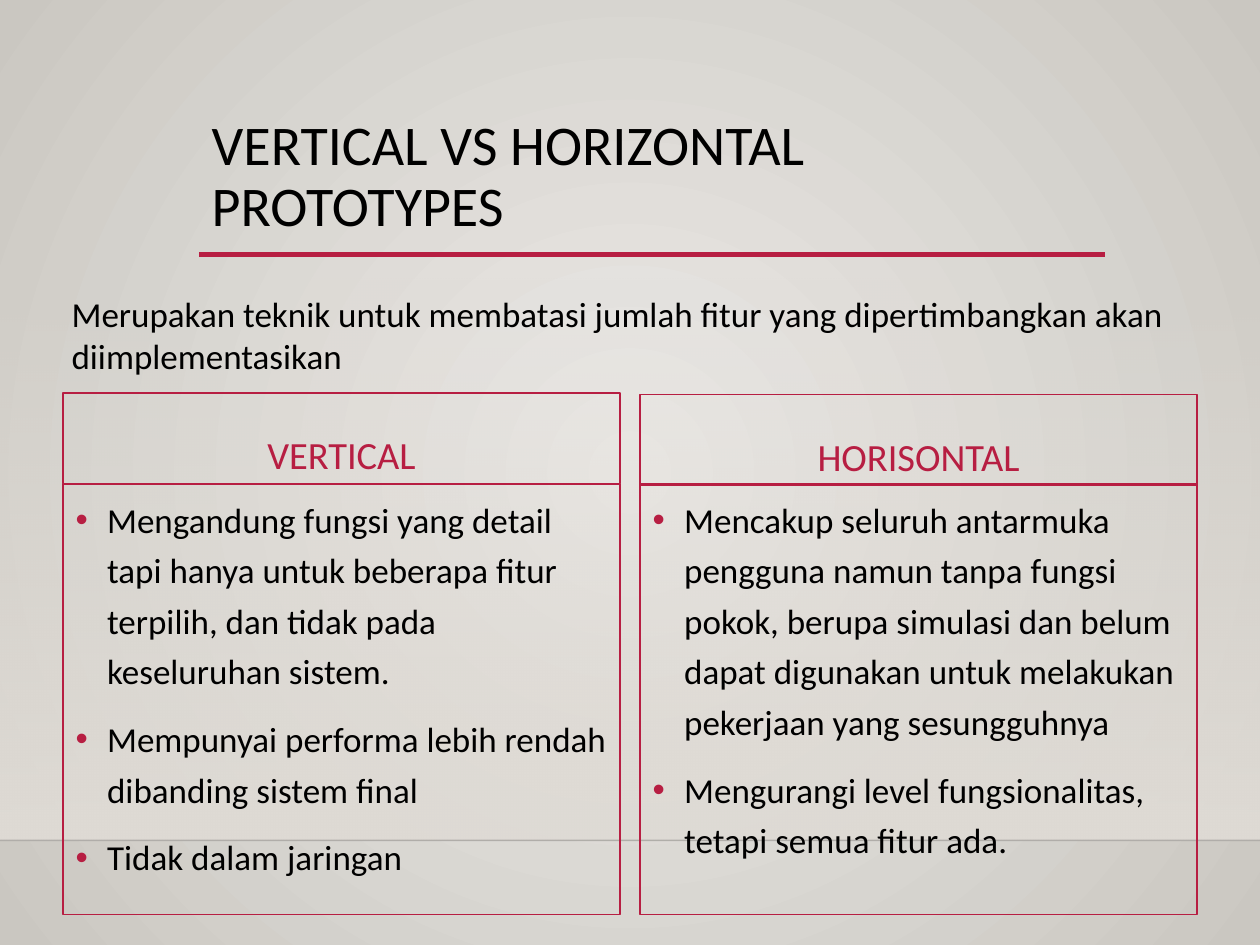
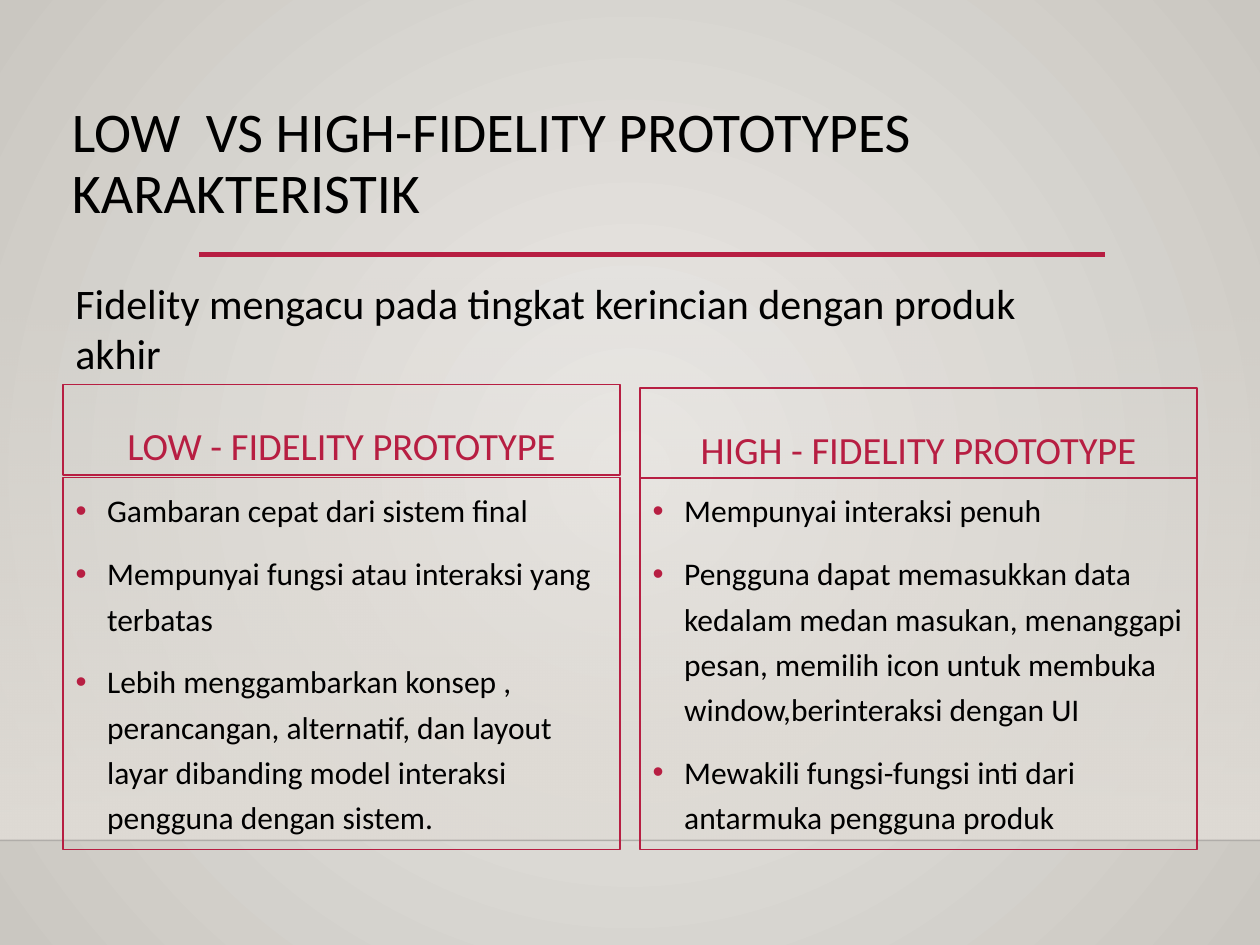
from dataclasses import dataclass

from lxml import etree
from pptx import Presentation
from pptx.dml.color import RGBColor
from pptx.enum.shapes import MSO_CONNECTOR, MSO_SHAPE
from pptx.enum.text import MSO_ANCHOR, MSO_AUTO_SIZE, PP_ALIGN
from pptx.oxml.ns import qn
from pptx.util import Inches, Pt

STRAIGHT = MSO_CONNECTOR.STRAIGHT
RECTANGLE = MSO_SHAPE.RECTANGLE
TOP, BOTTOM = MSO_ANCHOR.TOP, MSO_ANCHOR.BOTTOM
LEFT, CENTER = PP_ALIGN.LEFT, PP_ALIGN.CENTER
FIXED_SIZE = MSO_AUTO_SIZE.NONE
COMPARISON_LAYOUT = 4


@dataclass(frozen=True)
class Theme:
    font: str = "Calibri"
    text: RGBColor = RGBColor.from_string("000000")
    accent: RGBColor = RGBColor.from_string("B71E42")
    glow: RGBColor = RGBColor.from_string("ECEAE7")
    edge: RGBColor = RGBColor.from_string("CAC7C1")
    wall: RGBColor = RGBColor.from_string("DFDBD5")
    floor: RGBColor = RGBColor.from_string("000001")
    title_size: int = 32
    heading_size: int = 22


THEME = Theme()
SLIDE_W, SLIDE_H = 10, 7.5
FLOOR_Y = 6.67
RULE_LEFT, RULE_RIGHT, RULE_Y = 1.58, 8.77, 2.02
MARGIN, GUTTER = 0.5, 0.16
COLUMN_W = (SLIDE_W - 2 * MARGIN - GUTTER) / 2
HEADING_H = 0.72
BULLET_INDENT = 0.25

SLIDES = [
    {
        "title": "VERTICAL VS HORIZONTAL PROTOTYPES",
        "title_box": (RULE_LEFT, 0.88, RULE_RIGHT - RULE_LEFT, 1.16),
        "intro": ["Merupakan teknik untuk membatasi jumlah fitur yang "
                  "dipertimbangkan akan diimplementasikan"],
        "intro_box": (0.47, 2.27, 9.06, 0.77),
        "intro_size": 20,
        "list_top": 3.84, "list_height": 3.42, "list_size": 20,
        "columns": [
            ("VERTICAL", 3.12, [
                "Mengandung fungsi yang detail tapi hanya untuk beberapa fitur "
                "terpilih, dan tidak pada keseluruhan sistem.",
                "Mempunyai performa lebih rendah dibanding sistem final",
                "Tidak dalam jaringan"]),
            ("HORISONTAL", 3.13, [
                "Mencakup seluruh antarmuka pengguna namun tanpa fungsi pokok, "
                "berupa simulasi dan belum dapat digunakan untuk melakukan "
                "pekerjaan yang sesungguhnya",
                "Mengurangi level fungsionalitas, tetapi semua fitur ada."]),
        ],
    },
    {
        "title": "LOW  VS HIGH-FIDELITY PROTOTYPES\vKARAKTERISTIK",
        "title_box": (0.47, 0.78, 9, 1.25),
        "intro": ["Fidelity mengacu pada tingkat kerincian dengan produk", "akhir"],
        "intro_box": (0.5, 2.15, 8.98, 0.91),
        "intro_size": 24,
        "list_top": 3.79, "list_height": 2.95, "list_size": 18,
        "columns": [
            ("LOW - FIDELITY PROTOTYPE", 3.05, [
                "Gambaran cepat dari sistem final",
                "Mempunyai fungsi atau interaksi yang terbatas",
                "Lebih menggambarkan konsep , perancangan, alternatif, dan layout "
                "layar dibanding model interaksi pengguna dengan sistem."]),
            ("HIGH - FIDELITY PROTOTYPE", 3.08, [
                "Mempunyai interaksi penuh",
                "Pengguna dapat memasukkan data kedalam medan masukan, menanggapi "
                "pesan, memilih icon untuk membuka window,berinteraksi dengan UI",
                "Mewakili fungsi-fungsi inti dari antarmuka pengguna produk"]),
        ],
    },
]


def apply(target, values):
    for name, value in values.items():
        setattr(target, name, value)


def place(shape, box):
    names = ("left", "top", "width", "height")
    apply(shape, dict(zip(names, map(Inches, box))))


def write(shape, lines, size, color=THEME.text, anchor=TOP, **paragraph_format):
    frame = shape.text_frame
    frame.text = "\n".join(lines)
    apply(frame, {"word_wrap": True, "auto_size": FIXED_SIZE,
                  "vertical_anchor": anchor})
    for paragraph in frame.paragraphs:
        apply(paragraph, {"alignment": LEFT, "space_before": Pt(0),
                          **paragraph_format})
        for run in paragraph.runs:
            apply(run.font, {"name": THEME.font, "size": Pt(size), "bold": False})
            run.font.color.rgb = color


def add_bullets(shape):
    for paragraph in shape.text_frame.paragraphs:
        properties = paragraph._p.get_or_add_pPr()
        properties.set("marL", str(Inches(BULLET_INDENT)))
        properties.set("indent", str(-Inches(BULLET_INDENT)))
        bullet_color = etree.SubElement(properties, qn("a:buClr"))
        etree.SubElement(bullet_color, qn("a:srgbClr"), val=str(THEME.accent))
        etree.SubElement(properties, qn("a:buFont"), typeface="Arial")
        etree.SubElement(properties, qn("a:buChar"), char="•")


def outline(shape):
    shape.line.color.rgb = THEME.accent
    shape.line.width = Pt(0.75)


def set_gradient(fill, colors):
    fill.gradient()
    for stop, color, position in zip(fill.gradient_stops, colors, (0, 1)):
        stop.color.rgb = color
        stop.position = position


def set_opacity(shape, percent):
    """Set the opacity of the first explicit colour in the shape."""
    color = next(shape._element.iter(qn("a:srgbClr")))
    etree.SubElement(color, qn("a:alpha"), val=str(percent * 1000))


def add_rule(slide, left, right, y, color, width):
    rule = slide.shapes.add_connector(
        STRAIGHT, Inches(left), Inches(y), Inches(right), Inches(y))
    rule.line.color.rgb = color
    rule.line.width = Pt(width)
    etree.SubElement(rule._element.spPr, qn("a:effectLst"))
    return rule


def paint_background(master):
    set_gradient(master.background.fill, (THEME.glow, THEME.edge))
    gradient = next(master._element.iter(qn("a:gradFill")))
    gradient.remove(gradient.find(qn("a:lin")))
    circle = etree.SubElement(gradient, qn("a:path"), {"path": "circle"})
    etree.SubElement(circle, qn("a:fillToRect"),
                     dict.fromkeys("ltrb", "50000"))


def decorate_master(master, slide):
    """Draw the shared wall, floor and title rule, then move them to the master."""
    paint_background(master)
    wall = slide.shapes.add_shape(RECTANGLE, 0, 0, 0, 0)
    place(wall, (0, 2.2, SLIDE_W, FLOOR_Y - 2.2))
    wall.shadow.inherit = False
    wall.line.fill.background()
    set_gradient(wall.fill, (THEME.wall, THEME.wall))
    wall.fill.gradient_angle = 270
    set_opacity(wall, 0)

    floor = add_rule(slide, 0, SLIDE_W, FLOOR_Y, THEME.floor, 1)
    set_opacity(floor, 20)
    title_rule = add_rule(slide, RULE_LEFT, RULE_RIGHT, RULE_Y, THEME.accent, 2.5)

    for index, part in enumerate((wall, floor, title_rule), start=2):
        master.shapes.element.insert(index, part._element)


def fill_column(slide, column, content):
    label, heading_top, points = content["columns"][column]
    left = MARGIN + column * (COLUMN_W + GUTTER)
    heading = slide.placeholders[1 + 2 * column]
    points_box = slide.placeholders[2 + 2 * column]

    place(heading, (left, heading_top, COLUMN_W, HEADING_H))
    write(heading, [label], THEME.heading_size, THEME.accent, BOTTOM,
          alignment=CENTER, space_before=Pt(10))
    place(points_box, (left, content["list_top"], COLUMN_W, content["list_height"]))
    write(points_box, points, content["list_size"],
          line_spacing=1.2, space_before=Pt(10))
    add_bullets(points_box)
    for box in (heading, points_box):
        outline(box)


def fill_slide(slide, content):
    title = slide.shapes.title
    place(title, content["title_box"])
    write(title, [content["title"]], THEME.title_size, line_spacing=0.9)
    for column in range(len(content["columns"])):
        fill_column(slide, column, content)
    intro = slide.shapes.add_textbox(*map(Inches, content["intro_box"]))
    write(intro, content["intro"], content["intro_size"])


def main():
    deck = Presentation()
    apply(deck, {"slide_width": Inches(SLIDE_W), "slide_height": Inches(SLIDE_H)})
    layout = deck.slide_layouts[COMPARISON_LAYOUT]
    slides = [deck.slides.add_slide(layout) for _ in SLIDES]
    decorate_master(deck.slide_master, slides[0])
    for slide, content in zip(slides, SLIDES):
        fill_slide(slide, content)
    deck.save("out.pptx")


if __name__ == "__main__":
    main()
